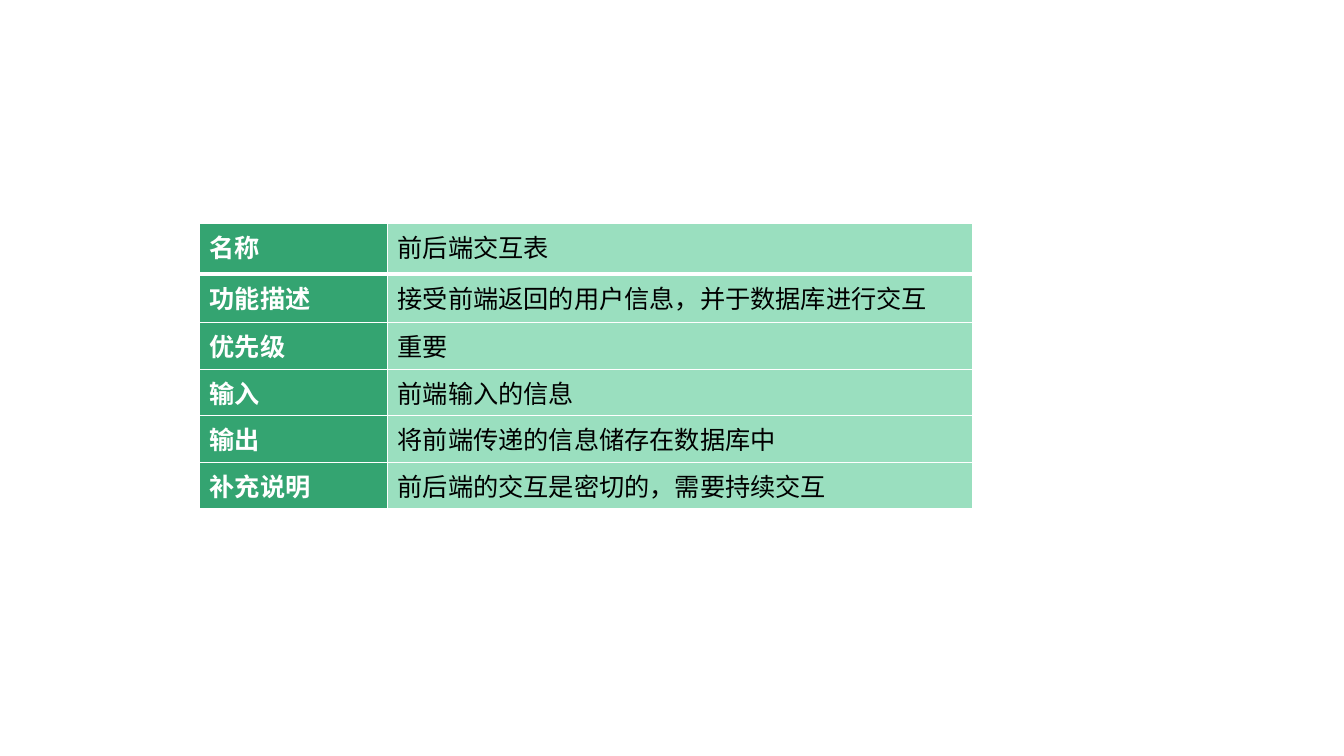
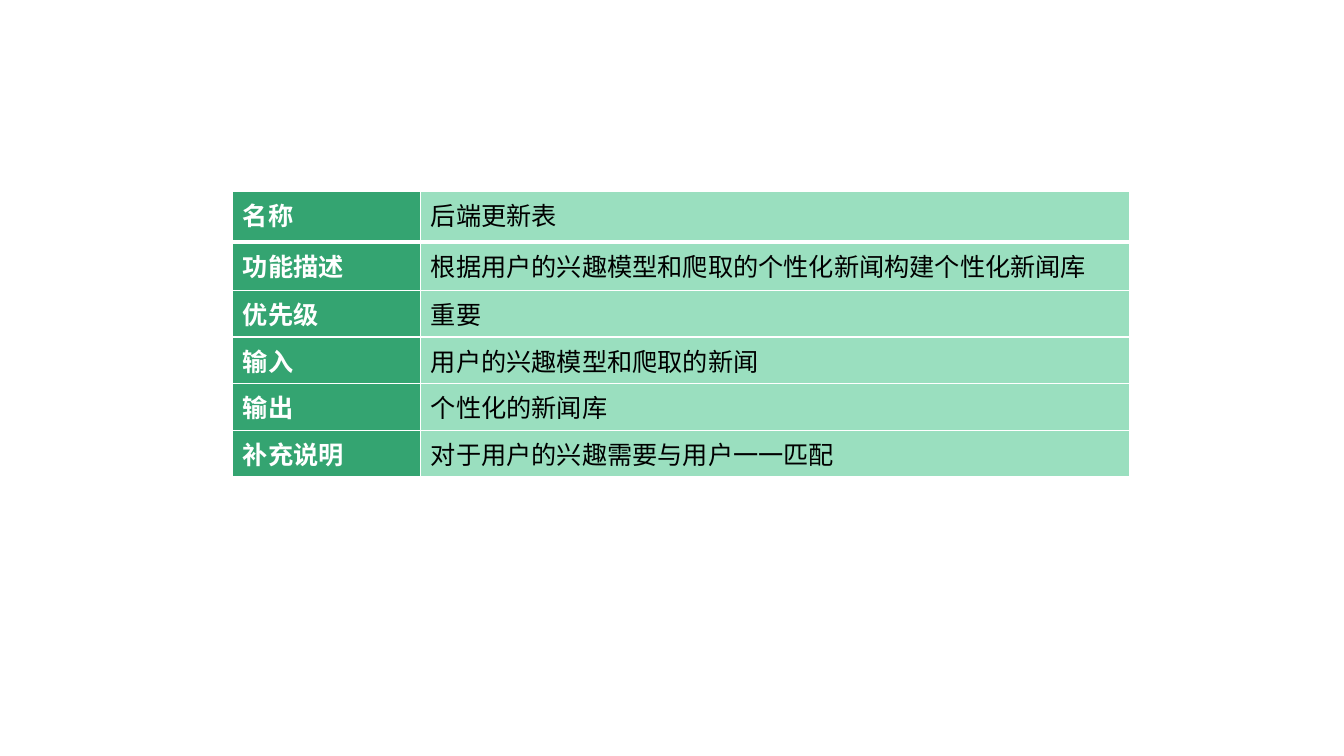
"""Build two requirement-table slides that share one table style."""
from lxml.etree import SubElement
from pptx import Presentation
from pptx.dml.color import RGBColor
from pptx.oxml.ns import qn
from pptx.util import Pt

LABELS = ["名称", "功能描述", "优先级", "输入", "输出", "补充说明"]
REQUIREMENTS = [
    {
        "left": 142.6, "top": 159.8, "detail_width": 417.6,
        "details": [
            "前后端交互表",
            "接受前端返回的用户信息，并于数据库进行交互",
            "重要",
            "前端输入的信息",
            "将前端传递的信息储存在数据库中",
            "前后端的交互是密切的，需要持续交互",
        ],
    },
    {
        "left": 166.3, "top": 136.8, "detail_width": 506.2,
        "details": [
            "后端更新表",
            "根据用户的兴趣模型和爬取的个性化新闻构建个性化新闻库",
            "重要",
            "用户的兴趣模型和爬取的新闻",
            "个性化的新闻库",
            "对于用户的兴趣需要与用户一一匹配",
        ],
    },
]
LABEL_WIDTH = 134.3
ROW_HEIGHTS = [36, 34.6] + [30.2] * 4
FONT, FONT_SIZE = "Arial", 18
WHITE, BLACK, GREEN, MINT = "FFFFFF", "000000", "34A471", "9ADFBF"
THIN, THICK = 1, 3


def color(hex_code):
    return RGBColor.from_string(hex_code)


def add_borders(cell, top, bottom):
    properties = cell._tc.get_or_add_tcPr()
    widths = {"a:lnL": THIN, "a:lnR": THIN, "a:lnT": top, "a:lnB": bottom}
    for edge, width in widths.items():
        border = SubElement(properties, qn(edge), w=str(Pt(width)))
        border_fill = SubElement(border, qn("a:solidFill"))
        SubElement(border_fill, qn("a:srgbClr"), val=WHITE)


def style_cell(cell, text, row, is_label):
    add_borders(cell, THICK if row == 1 else THIN, THICK if row == 0 else THIN)
    cell.fill.solid()
    cell.fill.fore_color.rgb = color(GREEN if is_label else MINT)
    cell.text_frame.text = text
    font = cell.text_frame.paragraphs[0].runs[0].font
    font.name, font.size, font.bold = FONT, Pt(FONT_SIZE), is_label
    font.color.rgb = color(WHITE if is_label else BLACK)


def add_requirement(slide, left, top, detail_width, details):
    widths = [LABEL_WIDTH, detail_width]
    table = slide.shapes.add_table(
        len(LABELS), len(widths), Pt(left), Pt(top),
        Pt(sum(widths)), Pt(sum(ROW_HEIGHTS))).table
    table.first_row = table.horz_banding = False
    for column, width in zip(table.columns, widths):
        column.width = Pt(width)
    for row, (height, label, detail) in enumerate(zip(ROW_HEIGHTS, LABELS, details)):
        table.rows[row].height = Pt(height)
        style_cell(table.cell(row, 0), label, row, True)
        style_cell(table.cell(row, 1), detail, row, False)


deck = Presentation()
deck.slide_width, deck.slide_height = Pt(960), Pt(540)
for requirement in REQUIREMENTS:
    add_requirement(deck.slides.add_slide(deck.slide_layouts[6]), **requirement)
deck.save("out.pptx")
